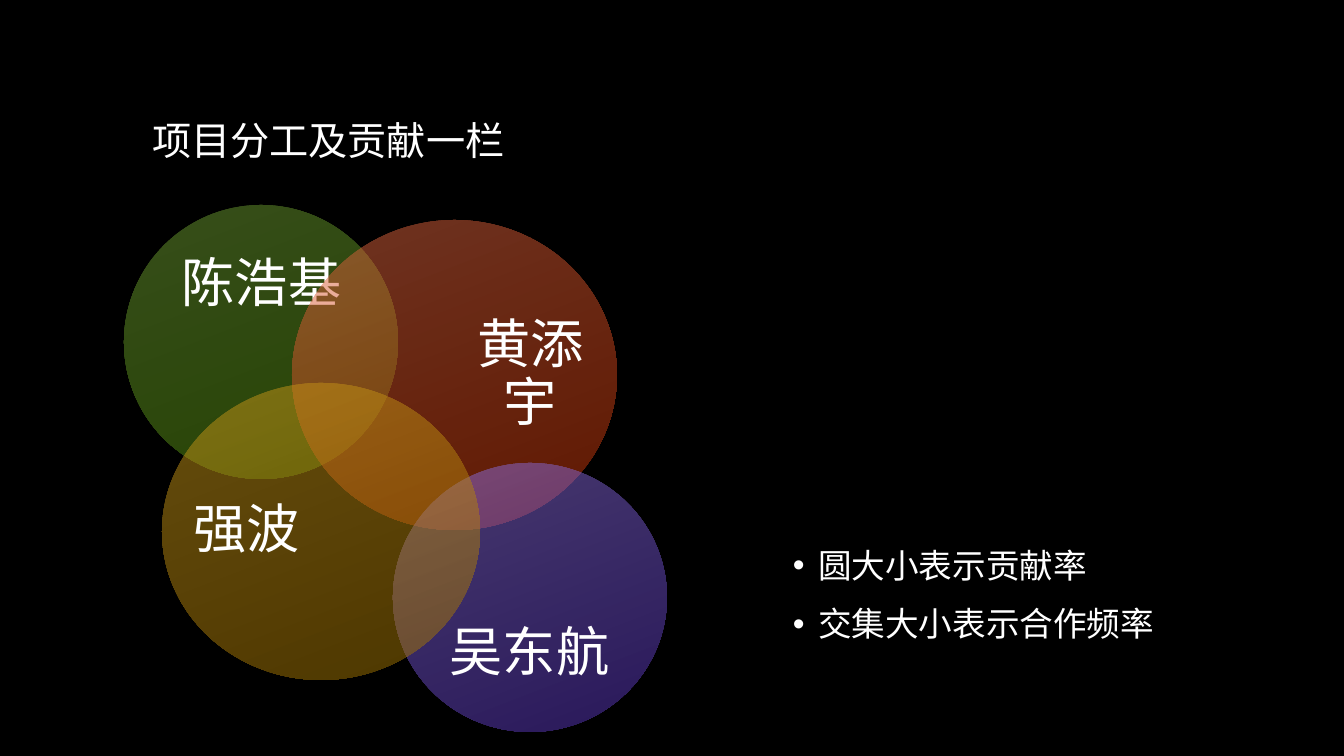
import lxml.etree
import pptx
import pptx.dml.color
import pptx.enum.shapes
import pptx.enum.text
import pptx.oxml.ns
import pptx.util

ALIGN = pptx.enum.text.PP_ALIGN
ANCHOR = pptx.enum.text.MSO_ANCHOR
qn = pptx.oxml.ns.qn


def px(length):
    return pptx.util.Emu(round(length * 914400 / 100.8))


def color(hex_string):
    return pptx.dml.color.RGBColor.from_string(hex_string)


class SlideBuilder:
    font_name = "Noto Sans CJK SC"
    text_color = "FFFFFF"
    background = "000000"

    def __init__(self, presentation):
        self.slide = presentation.slides.add_slide(presentation.slide_layouts[5])
        fill = self.slide.background.fill
        fill.solid()
        fill.fore_color.rgb = color(self.background)

    def style(self, paragraph, size, line_spacing, alignment=ALIGN.LEFT):
        paragraph.alignment = alignment
        paragraph.line_spacing = line_spacing
        font = paragraph.font
        font.size = pptx.util.Pt(size)
        font.color.rgb = color(self.text_color)
        font.name = self.font_name
        properties = paragraph._p.pPr.find(qn("a:defRPr"))
        lxml.etree.SubElement(properties, qn("a:ea"), typeface=self.font_name)

    def title(self, text, left, top, width, height):
        shape = self.slide.shapes.title
        shape.left, shape.top, shape.width, shape.height = map(px, (left, top, width, height))
        frame = shape.text_frame
        frame.text = text
        frame.auto_size = pptx.enum.text.MSO_AUTO_SIZE.NONE
        frame.vertical_anchor = ANCHOR.BOTTOM
        self.style(frame.paragraphs[0], 28, 0.8)

    def circle(self, box, light, dark):
        shape = self.slide.shapes.add_shape(
            pptx.enum.shapes.MSO_SHAPE.OVAL, *map(px, box))
        shape.shadow.inherit = False
        shape.line.fill.background()
        shape.fill.gradient()
        shape.fill.gradient_angle = 360 - 69
        for stop, shade in zip(shape.fill.gradient_stops, (light, dark)):
            stop.color.rgb = color(shade)
        for shade in shape._element.spPr.iter(qn("a:srgbClr")):
            lxml.etree.SubElement(shade, qn("a:alpha"), val="50000")

    def text_frame(self, box):
        frame = self.slide.shapes.add_textbox(*map(px, box)).text_frame
        frame.word_wrap = True
        return frame

    def label(self, text, box):
        frame = self.text_frame(box)
        frame.margin_left = frame.margin_right = 0
        frame.margin_top = frame.margin_bottom = 0
        frame.vertical_anchor = ANCHOR.MIDDLE
        frame.text = text
        self.style(frame.paragraphs[0], 38, 0.9, ALIGN.CENTER)

    def bullets(self, items, box):
        frame = self.text_frame(box)
        frame.text = "\n".join(items)
        indent = pptx.util.Inches(0.25)
        for index, paragraph in enumerate(frame.paragraphs):
            if index:
                paragraph.space_before = pptx.util.Pt(16)
            properties = paragraph._p.get_or_add_pPr()
            properties.set("marL", str(indent))
            properties.set("indent", str(-indent))
            lxml.etree.SubElement(properties, qn("a:buFont"), typeface="Arial")
            lxml.etree.SubElement(properties, qn("a:buChar"), char="•")
            self.style(paragraph, 24, 0.9)


MEMBERS = [
    ("陈浩基", (124, 205, 274, 274), (156, 242, 211, 87), "6E9D35", "4E8808"),
    ("黄添宇", (292, 220, 325, 310), (468, 256, 125, 239), "DE6742", "C23002"),
    ("吴东航", (393, 463, 274, 269), (424, 611, 211, 86), "8F73DF", "5331B6"),
    ("强波", (162, 383, 318, 297), (186, 417, 122, 229), "CB991B", "9D7000"),
]


def main():
    presentation = pptx.Presentation()
    presentation.slide_width = px(1344)
    presentation.slide_height = px(756)
    builder = SlideBuilder(presentation)
    builder.title("项目分工及贡献一栏", 142, 42, 1058, 126)
    for name, circle_box, label_box, light, dark in MEMBERS:
        builder.circle(circle_box, light, dark)
        builder.label(name, label_box)
    builder.bullets(["圆大小表示贡献率", "交集大小表示合作频率"], (783, 544, 418, 136))
    presentation.save("out.pptx")


if __name__ == "__main__":
    main()
